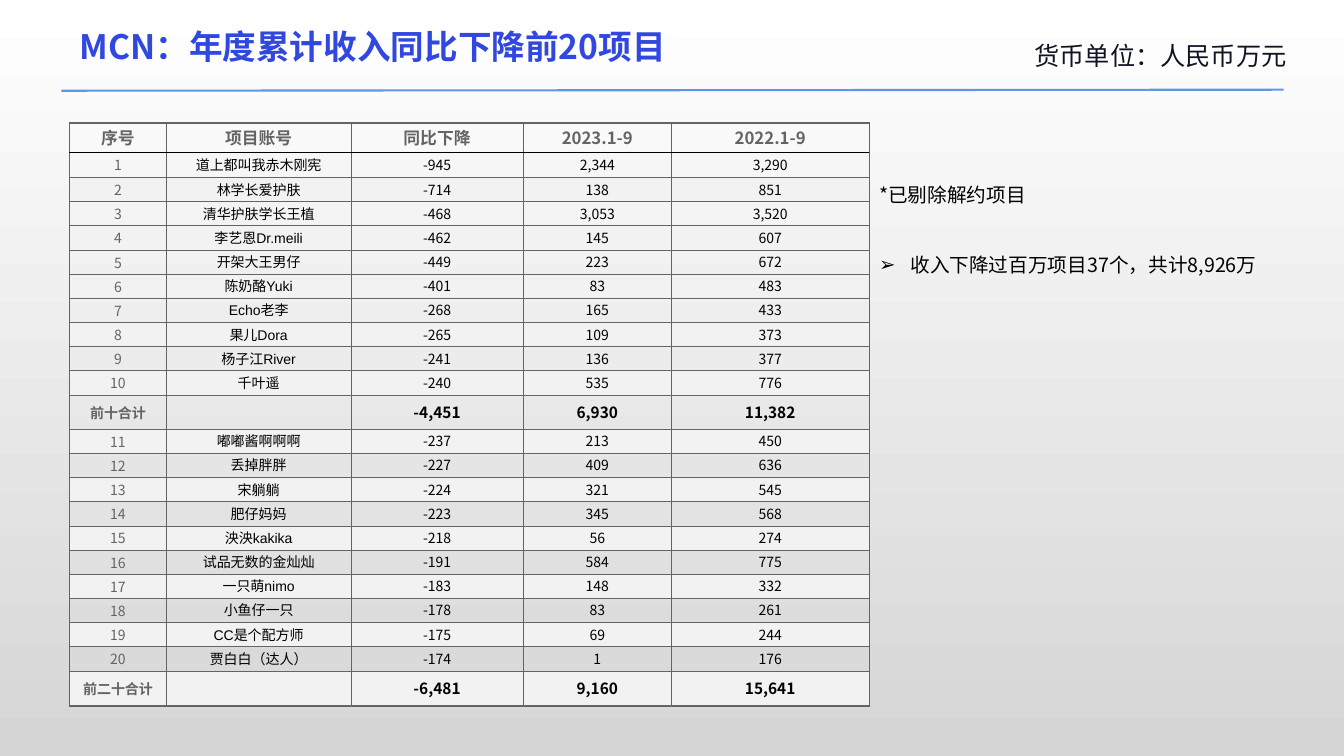
from lxml.etree import SubElement
from pptx import Presentation
from pptx.dml.color import RGBColor
from pptx.enum.shapes import MSO_CONNECTOR
from pptx.enum.text import MSO_ANCHOR, MSO_AUTO_SIZE, PP_ALIGN
from pptx.oxml import parse_xml
from pptx.oxml.ns import nsdecls, qn
from pptx.util import Inches, Pt

TITLE_BLUE = RGBColor(0x31, 0x48, 0xE0)
RULE_BLUE = RGBColor(0x60, 0x96, 0xE6)
INK = RGBColor(0x0F, 0x14, 0x23)
BLACK = RGBColor(0, 0, 0)
GRAY = RGBColor(0x64, 0x64, 0x64)
BAND = RGBColor(0xF2, 0xF2, 0xF2)
WHITE = RGBColor(0xFF, 0xFF, 0xFF)
BACKGROUND_END = RGBColor(0xD6, 0xD6, 0xD6)
CHINESE_FONT = "Noto Sans CJK SC"
LATIN_FONT = "Arial"

HEADER = ("序号", "项目账号", "同比下降", "2023.1-9", "2022.1-9")
PROJECTS = [
    ("道上都叫我赤木刚宪", "-945", "2,344", "3,290"),
    ("林学长爱护肤", "-714", "138", "851"),
    ("清华护肤学长王植", "-468", "3,053", "3,520"),
    ("李艺恩Dr.meili", "-462", "145", "607"),
    ("开架大王男仔", "-449", "223", "672"),
    ("陈奶酪Yuki", "-401", "83", "483"),
    ("Echo老李", "-268", "165", "433"),
    ("果儿Dora", "-265", "109", "373"),
    ("杨子江River", "-241", "136", "377"),
    ("千叶遥", "-240", "535", "776"),
    ("嘟嘟酱啊啊啊", "-237", "213", "450"),
    ("丢掉胖胖", "-227", "409", "636"),
    ("宋躺躺", "-224", "321", "545"),
    ("肥仔妈妈", "-223", "345", "568"),
    ("泱泱kakika", "-218", "56", "274"),
    ("试品无数的金灿灿", "-191", "584", "775"),
    ("一只萌nimo", "-183", "148", "332"),
    ("小鱼仔一只", "-178", "83", "261"),
    ("CC是个配方师", "-175", "69", "244"),
    ("贾白白（达人）", "-174", "1", "176"),
]
TOP_TEN_TOTAL = ("前十合计", "", "-4,451", "6,930", "11,382")
TOP_TWENTY_TOTAL = ("前二十合计", "", "-6,481", "9,160", "15,641")
COLUMN_WIDTHS = (0.96, 1.83, 1.71, 1.47, 1.96)
ROW_HEIGHTS = [0.29, 0.25] + [0.24] * 9 + [0.34] + [0.24] * 10 + [0.35]


def add_run(paragraph, text, size, color, bold=False, font=CHINESE_FONT):
    """Append one formatted run with Latin and East Asian fonts."""
    run = paragraph.add_run()
    run.text = text
    run.font.size = Pt(size)
    run.font.bold = bold
    run.font.color.rgb = color
    run.font.name = font
    SubElement(run.font._element, qn("a:ea"), typeface=CHINESE_FONT)


def set_background(slide):
    """Fill the slide with a vertical white-to-gray gradient."""
    fill = slide.background.fill
    fill.gradient()
    fill.gradient_angle = 270
    for stop, color in zip(fill.gradient_stops, (WHITE, BACKGROUND_END)):
        stop.color.rgb = color


def set_title(slide, text):
    """Place and format the slide title."""
    title = slide.shapes.title
    title.left, title.top = Inches(0.69), Inches(0.21)
    title.width, title.height = Inches(6.72), Inches(0.5)
    frame = title.text_frame
    frame.auto_size = MSO_AUTO_SIZE.NONE
    frame.vertical_anchor = MSO_ANCHOR.MIDDLE
    frame.paragraphs[0].alignment = PP_ALIGN.LEFT
    add_run(frame.paragraphs[0], text, 24, TITLE_BLUE, bold=True)


def add_text_frame(slide, left, top, width, height):
    """Add a wrapping text box without insets and return its frame."""
    box = slide.shapes.add_textbox(Inches(left), Inches(top), Inches(width), Inches(height))
    frame = box.text_frame
    frame.word_wrap = True
    frame.margin_left = frame.margin_right = frame.margin_top = frame.margin_bottom = 0
    return frame


def add_unit_label(slide, text):
    """Add the right-aligned currency label."""
    paragraph = add_text_frame(slide, 9.79, 0.4, 2.97, 0.47).paragraphs[0]
    paragraph.alignment = PP_ALIGN.RIGHT
    add_run(paragraph, text, 18, INK)


def add_title_rule(slide):
    """Draw the blue rule under the title."""
    rule = slide.shapes.add_connector(
        MSO_CONNECTOR.STRAIGHT, Inches(0.61), Inches(0.9), Inches(12.73), Inches(0.89))
    rule.line.color.rgb = RULE_BLUE
    rule.line.width = Pt(1.5)
    SubElement(rule._element.spPr, qn("a:effectLst"))


def set_borders(cell, top, bottom):
    """Set the four cell borders, given top and bottom as (color, points)."""
    side = (GRAY, 0.5)
    borders = {"lnL": side, "lnR": side, "lnT": top, "lnB": bottom}
    for position, (tag, (color, points)) in enumerate(borders.items()):
        cell._tc.get_or_add_tcPr().insert(position, parse_xml(
            f'<a:{tag} {nsdecls("a")} w="{Pt(points)}"><a:solidFill>'
            f'<a:srgbClr val="{color}"/></a:solidFill></a:{tag}>'))


def format_cell(cell, text, row, column):
    """Write one table cell in the style of its row and column."""
    is_header = row == 0
    is_total = row in (11, 22)
    is_label = is_header or column == 0
    cell.vertical_anchor = MSO_ANCHOR.MIDDLE
    cell.margin_left = cell.margin_right = cell.margin_top = Inches(0 if is_label else 0.01)
    cell.margin_bottom = Inches(0 if is_label else 0.02)
    if row and row % 2 == 0:
        cell.fill.solid()
        cell.fill.fore_color.rgb = BAND
    else:
        cell.fill.background()
    thin, thick, header_line = (GRAY, 0.5), (GRAY, 1.5), (BLACK, 1)
    top = {0: thick, 1: header_line}.get(row, thin)
    bottom = {0: header_line, 22: thick}.get(row, thin)
    set_borders(cell, top, bottom)
    paragraph = cell.text_frame.paragraphs[0]
    paragraph.alignment = PP_ALIGN.CENTER
    if not text:
        paragraph._p.get_or_add_endParaRPr().set("sz", "1000")
        return
    size = 12 if is_header else 11 if is_total and column else 10
    font = LATIN_FONT if column == 1 and not is_header else CHINESE_FONT
    add_run(paragraph, text, size, GRAY if is_label else BLACK, is_header or is_total, font)


def add_project_table(slide):
    """Add the ranking table with its two subtotal rows."""
    ranked = [(str(rank), *project) for rank, project in enumerate(PROJECTS, 1)]
    rows = [HEADER, *ranked[:10], TOP_TEN_TOTAL, *ranked[10:], TOP_TWENTY_TOTAL]
    table = slide.shapes.add_table(
        len(rows), len(HEADER), Inches(0.69), Inches(1.22),
        Inches(sum(COLUMN_WIDTHS)), Inches(sum(ROW_HEIGHTS))).table
    table.first_row = table.horz_banding = False
    for column, width in zip(table.columns, COLUMN_WIDTHS):
        column.width = Inches(width)
    for table_row, height in zip(table.rows, ROW_HEIGHTS):
        table_row.height = Inches(height)
    for row, values in enumerate(rows):
        for column, text in enumerate(values):
            format_cell(table.cell(row, column), text, row, column)


def add_notes_text(slide, remark, finding):
    """Add the remark and the bulleted finding beside the table."""
    frame = add_text_frame(slide, 8.72, 1.7, 4.27, 1.85)
    first, second = frame.paragraphs[0], frame.add_paragraph()
    properties = second._p.get_or_add_pPr()
    properties.set("marL", str(Inches(0.31)))
    properties.set("indent", str(-Inches(0.31)))
    SubElement(properties, qn("a:buFont"), typeface=LATIN_FONT)
    SubElement(properties, qn("a:buChar"), char="➢")
    second.space_before = Pt(25)
    for paragraph, text in ((first, remark), (second, finding)):
        paragraph.line_spacing = Pt(25)
        add_run(paragraph, text, 14, BLACK)


def main():
    """Build the slide and save it."""
    presentation = Presentation()
    presentation.slide_width, presentation.slide_height = Inches(13.33), Inches(7.5)
    slide = presentation.slides.add_slide(presentation.slide_layouts[5])
    set_background(slide)
    set_title(slide, "MCN：年度累计收入同比下降前20项目")
    add_unit_label(slide, "货币单位：人民币万元")
    add_title_rule(slide)
    add_project_table(slide)
    add_notes_text(slide, "*已剔除解约项目", "收入下降过百万项目37个，共计8,926万")
    presentation.save("out.pptx")


if __name__ == "__main__":
    main()
